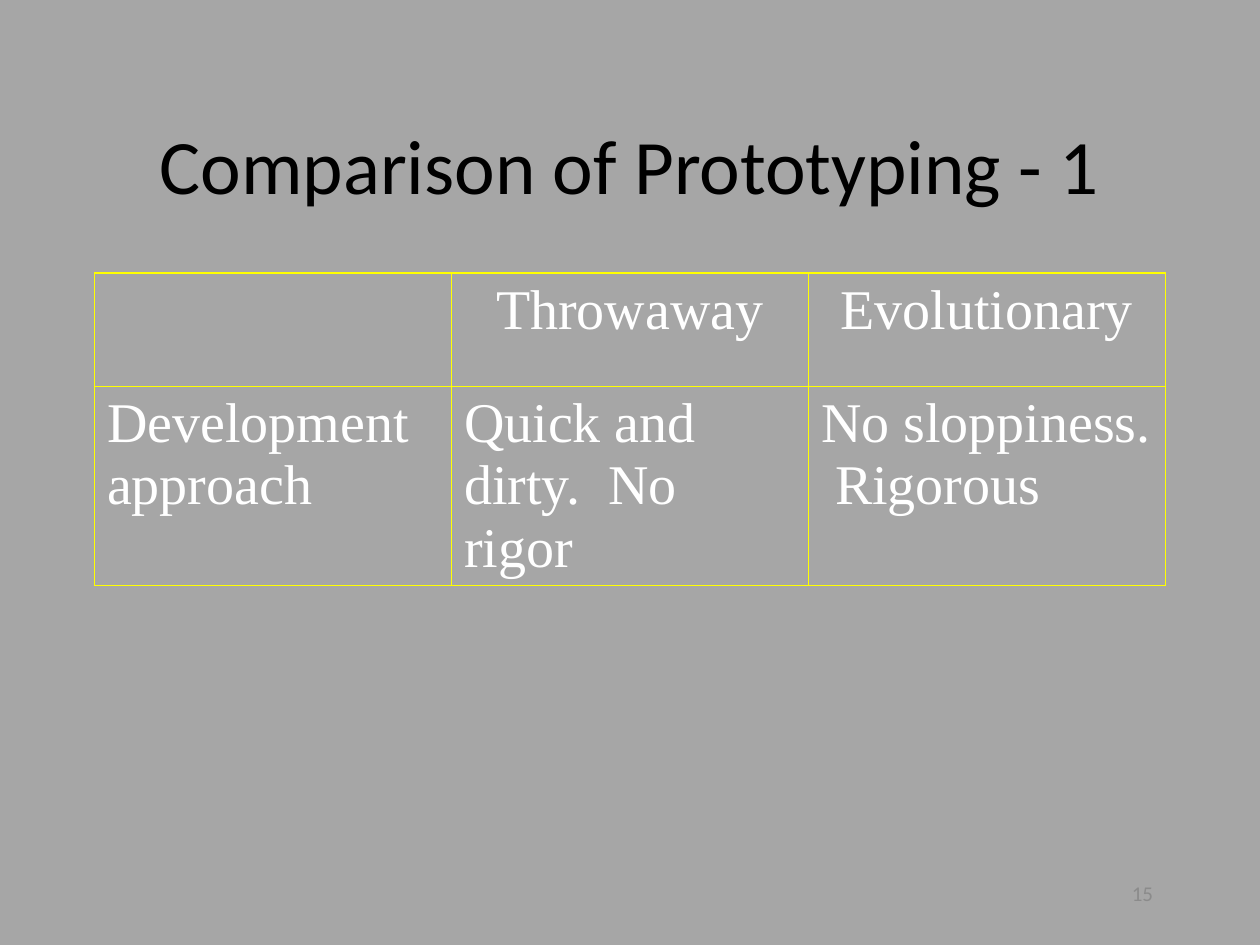
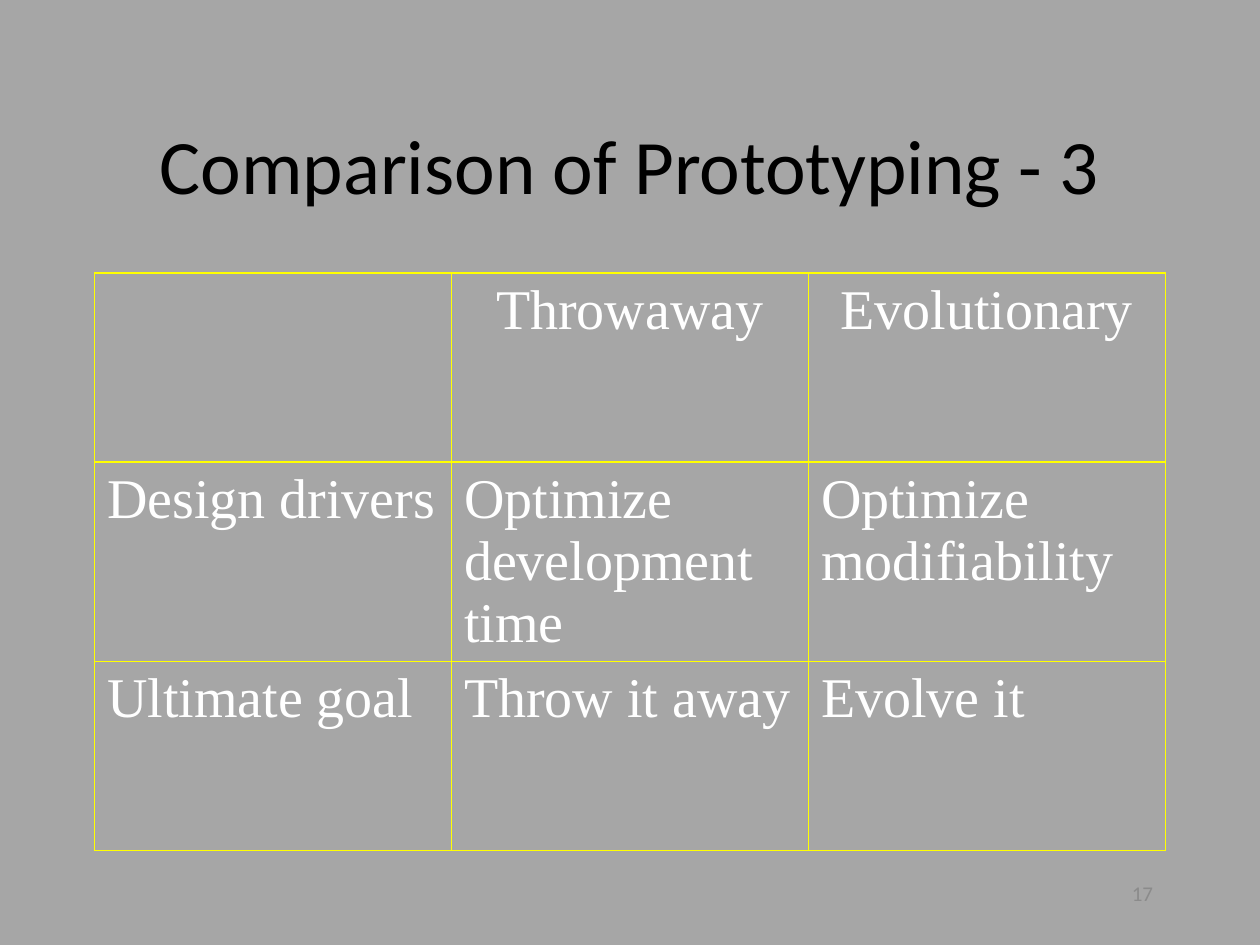
from lxml import etree
from pptx import Presentation
from pptx import util as u
from pptx.dml.color import RGBColor
from pptx.enum import text
from pptx.oxml.ns import qn

GREY = RGBColor(0xA6, 0xA6, 0xA6)
BLACK = RGBColor(0, 0, 0)
WHITE = RGBColor(255, 255, 255)
YELLOW = RGBColor(255, 255, 0)
NUMBER_GREY = RGBColor(0x8B, 0x8B, 0x8B)
HEADING_FONT, TABLE_FONT = "Calibri", "Times New Roman"

WIDTH, HEIGHT = u.Inches(10), u.Inches(7.5)
MARGIN, CONTENT_WIDTH = 0.075, 0.85
TITLE_BOX = (MARGIN, 0.09, CONTENT_WIDTH, 0.167)
NUMBER_BOX = (0.69, 0.92, 0.235, 0.05)
TABLE_TOP = 0.289

HEADER = ("", "Throwaway", "Evolutionary")
COMPARISONS = [
    (1, 15, 0.12, [
        ("Development approach", "Quick and dirty.  No rigor", "No sloppiness.  Rigorous"),
    ]),
    (3, 17, 0.2, [
        ("Design drivers", "Optimize development time", "Optimize modifiability"),
        ("Ultimate goal", "Throw it away", "Evolve it"),
    ]),
]


def place(box):
    """Turn shares of the slide into left, top, width and height."""
    left, top, width, height = box
    return (round(left * WIDTH), round(top * HEIGHT),
            round(width * WIDTH), round(height * HEIGHT))


def write(frame, words, font, size, colour, align):
    """Write one formatted run into the first paragraph of a frame."""
    frame.word_wrap = True
    para = frame.paragraphs[0]
    para.alignment = align
    span = para.add_run()
    span.text = words
    span.font.name, span.font.size = font, u.Pt(size)
    span.font.color.rgb = colour


def add_title(page, words):
    """Place and fill the title placeholder."""
    title = page.shapes.title
    title.left, title.top, title.width, title.height = place(TITLE_BOX)
    title.text_frame.vertical_anchor = text.MSO_ANCHOR.MIDDLE
    write(title.text_frame, words, HEADING_FONT, 44, BLACK, text.PP_ALIGN.CENTER)


def add_number(page, number):
    """Add the page number at the lower right."""
    frame = page.shapes.add_textbox(*place(NUMBER_BOX)).text_frame
    frame.vertical_anchor = text.MSO_ANCHOR.MIDDLE
    write(frame, str(number), HEADING_FONT, 12, NUMBER_GREY, text.PP_ALIGN.RIGHT)


def outline(cell):
    """Draw a yellow border on each side of a cell without fill."""
    properties = cell._tc.get_or_add_tcPr()
    for side in ("a:lnL", "a:lnR", "a:lnT", "a:lnB"):
        line = etree.SubElement(properties, qn(side), w=str(u.Pt(1)))
        fill = etree.SubElement(line, qn("a:solidFill"))
        etree.SubElement(fill, qn("a:srgbClr"), val=str(YELLOW))
    cell.fill.background()


def add_comparison(page, rows, row_share):
    """Add the comparison table with equal columns and rows."""
    box = (MARGIN, TABLE_TOP, CONTENT_WIDTH, row_share * len(rows))
    table = page.shapes.add_table(len(rows), len(HEADER), *place(box)).table
    table.first_row = table.horz_banding = False
    for r, row in enumerate(rows):
        for c, words in enumerate(row):
            cell = table.cell(r, c)
            outline(cell)
            if words:
                align = text.PP_ALIGN.LEFT if r else text.PP_ALIGN.CENTER
                write(cell.text_frame, words, TABLE_FONT, 32, WHITE, align)


def main():
    """Build the deck of comparison slides."""
    deck = Presentation()
    deck.slide_width, deck.slide_height = WIDTH, HEIGHT
    background = deck.slide_master.background.fill
    background.solid()
    background.fore_color.rgb = GREY
    for part, number, row_share, rows in COMPARISONS:
        page = deck.slides.add_slide(deck.slide_layouts[5])
        add_title(page, f"Comparison of Prototyping - {part}")
        add_comparison(page, [HEADER, *rows], row_share)
        add_number(page, number)
    deck.save("out.pptx")


if __name__ == "__main__":
    main()
